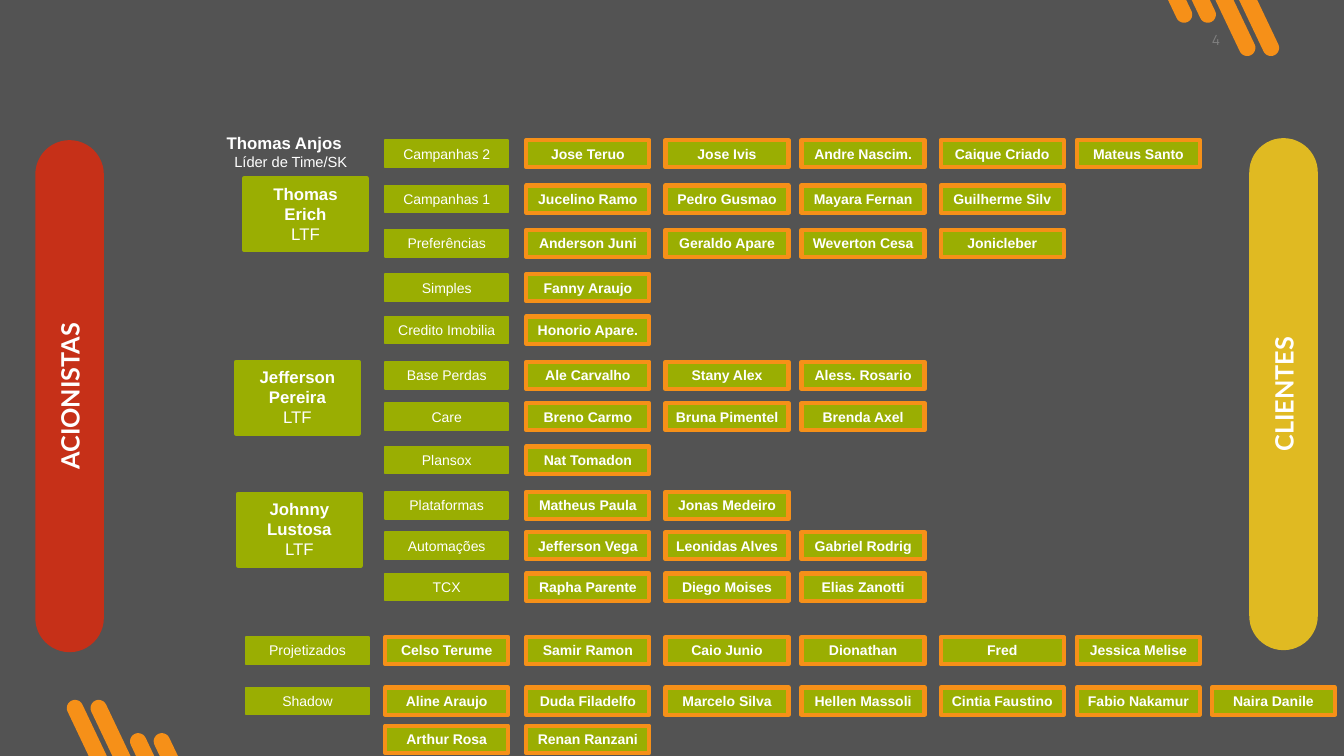
from math import atan2, cos, pi, sin

from lxml.etree import SubElement
from pptx import Presentation
from pptx.dml.color import RGBColor
from pptx.enum.shapes import MSO_SHAPE
from pptx.enum.text import MSO_ANCHOR, MSO_AUTO_SIZE, PP_ALIGN
from pptx.oxml.ns import qn
from pptx.util import Inches, Pt

# Content
COLORS = {"background": "535353", "green": "9AAE02", "orange": "F69018", "red": "C63018",
          "yellow": "E0BA22", "white": "FFFFFF", "grey": "808080"}

# Top edge, first grid column, team, members
TEAMS = [
    (1.39, 1, "Campanhas 2", ["Jose Teruo", "Jose Ivis", "Andre Nascim.", "Caique Criado", "Mateus Santo"]),
    (1.84, 1, "Campanhas 1", ["Jucelino Ramo", "Pedro Gusmao", "Mayara Fernan", "Guilherme Silv"]),
    (2.28, 1, "Preferências", ["Anderson Juni", "Geraldo Apare", "Weverton Cesa", "Jonicleber"]),
    (2.72, 1, "Simples", ["Fanny Araujo"]),
    (3.14, 1, "Credito Imobilia", ["Honorio Apare."]),
    (3.59, 1, "Base Perdas", ["Ale Carvalho", "Stany Alex", "Aless. Rosario"]),
    (4.0, 1, "Care", ["Breno Carmo", "Bruna Pimentel", "Brenda Axel"]),
    (4.43, 1, "Plansox", ["Nat Tomadon"]),
    (4.88, 1, "Plataformas", ["Matheus Paula", "Jonas Medeiro"]),
    (5.28, 1, "Automações", ["Jefferson Vega", "Leonidas Alves", "Gabriel Rodrig"]),
    (5.69, 1, "TCX", ["Rapha Parente", "Diego Moises", "Elias Zanotti"]),
    (6.32, 0, "Projetizados", ["Celso Terume", "Samir Ramon", "Caio Junio", "Dionathan", "Fred",
                               "Jessica Melise"]),
    (6.82, 0, "Shadow", ["Aline Araujo", "Duda Filadelfo", "Marcelo Silva", "Hellen Massoli",
                         "Cintia Faustino", "Fabio Nakamur", "Naira Danile"]),
    (7.2, 0, None, ["Arthur Rosa", "Renan Ranzani"]),
]
LEADERS = [(2.42, 1.77, "Thomas Erich"), (2.34, 3.59, "Jefferson Pereira"), (2.36, 4.9, "Johnny Lustosa")]
BANDS = [(0.35, 1.39, "ACIONISTAS", "red"), (12.39, 1.37, "CLIENTES", "yellow")]

# Grid, in inches
WIDTH, HEIGHT = 13.33, 7.5
COLUMNS = [2.44, 3.82, 5.22, 6.6, 7.95, 9.33, 10.68, 12.02]
BOX_WIDTH, BOX_HEIGHT, LEADER_HEIGHT = 1.22, 0.27, 0.71

# Corner stripes: slide edge, direction into the slide, x of the outermost long stripe
STRIPES = [(HEIGHT, -1, 0.97), (0, 1, 12.38)]
STRIPE_DEPTHS = [0.475, 0.475, 0.145, 0.145]
STRIPE_PITCH, STRIPE_HALF, STRIPE_SLOPE = 0.235, 0.09, 0.475


def color(name):
    return RGBColor.from_string(COLORS[name])


def add_line(frame, text, size, first=False, font="Arial", ink="white", bold=False, align=PP_ALIGN.CENTER):
    para = frame.paragraphs[0] if first else frame.add_paragraph()
    para.alignment = align
    span = para.add_run()
    span.text = text
    span.font.name, span.font.size, span.font.bold = font, Pt(size), bold
    span.font.color.rgb = color(ink)


def add_box(left, top, width, height, fill, line=None, line_width=1, kind=MSO_SHAPE.RECTANGLE):
    box = slide.shapes.add_shape(kind, Inches(left), Inches(top), Inches(width), Inches(height))
    box.shadow.inherit = False
    box.fill.solid()
    box.fill.fore_color.rgb = color(fill)
    if line:
        box.line.color.rgb = color(line)
        box.line.width = Pt(line_width)
        SubElement(box._element.spPr.find(qn("a:ln")), qn("a:round"))
    else:
        box.line.fill.background()
    box.text_frame.word_wrap = True
    box.text_frame.vertical_anchor = MSO_ANCHOR.TOP
    return box


def add_text_box(left, top, width, height, wrap=True):
    box = slide.shapes.add_textbox(Inches(left), Inches(top), Inches(width), Inches(height))
    box.text_frame.word_wrap = wrap
    return box.text_frame


def set_margins(frame, inches):
    frame.margin_left = frame.margin_right = frame.margin_top = frame.margin_bottom = Inches(inches)


def stripe_points(edge, direction, x, depth):
    """Outline of a slanted bar that leaves the slide edge and ends in a half circle."""
    tilt = atan2(STRIPE_SLOPE, 1)
    radius = STRIPE_HALF * cos(tilt)
    center_x, center_y = x + direction * depth * STRIPE_SLOPE, edge + direction * depth
    points = [(x - direction * STRIPE_HALF, edge), (x + direction * STRIPE_HALF, edge)]
    for step in range(13):
        angle = pi * step / 12 - tilt
        points.append((center_x + direction * radius * cos(angle), center_y + direction * radius * sin(angle)))
    return [(Inches(px), Inches(py)) for px, py in points]


# Slide
deck = Presentation()
deck.slide_width, deck.slide_height = Inches(WIDTH), Inches(HEIGHT)
slide = deck.slides.add_slide(deck.slide_layouts[6])
slide.background.fill.solid()
slide.background.fill.fore_color.rgb = color("background")

# Corner stripes
for edge, direction, first_x in STRIPES:
    outlines = [stripe_points(edge, direction, first_x - direction * index * STRIPE_PITCH, depth)
                for index, depth in enumerate(STRIPE_DEPTHS)]
    builder = slide.shapes.build_freeform(*outlines[0][0])
    for index, outline in enumerate(outlines):
        if index:
            builder.move_to(*outline[0])
        builder.add_line_segments(outline[1:], close=True)
    stripes = builder.convert_to_shape()
    stripes.shadow.inherit = False
    stripes.fill.solid()
    stripes.fill.fore_color.rgb = color("orange")
    stripes.line.fill.background()

# Page number
number = add_text_box(11.96, 0.26, 0.19, 0.27, wrap=False)
set_margins(number, 0.05)
add_line(number, "4", 10, first=True, font="Manrope", ink="grey", align=PP_ALIGN.RIGHT)

# Side bands
for left, top, name, fill in BANDS:
    band = add_box(left, top, 0.68, 5.08, fill, kind=MSO_SHAPE.ROUNDED_RECTANGLE)
    band.adjustments[0] = 0.5
    frame = band.text_frame
    set_margins(frame, 0.05)
    frame.vertical_anchor = MSO_ANCHOR.MIDDLE
    frame._txBody.bodyPr.set("vert", "vert270")
    add_line(frame, name, 18, first=True, font="Lato", bold=True)

# Team lead and leaders
lead = add_text_box(2.15, 1.27, 1.47, 0.49)
add_line(lead, "Thomas Anjos", 12, first=True, bold=True, align=PP_ALIGN.LEFT)
add_line(lead, "Líder de Time/SK", 10.5)
for left, top, name in LEADERS:
    frame = add_box(left, top, BOX_WIDTH, LEADER_HEIGHT, "green", "green", 3).text_frame
    frame.auto_size = MSO_AUTO_SIZE.SHAPE_TO_FIT_TEXT
    add_line(frame, name, 12, first=True, bold=True)
    add_line(frame, "LTF", 12)

# Teams and members
for top, start, team, members in TEAMS:
    for offset, name in enumerate([team] + members):
        if name is None:
            continue
        member = offset > 0
        box = add_box(COLUMNS[start + offset], top, BOX_WIDTH, BOX_HEIGHT, "green",
                      "orange" if member else "green", 3 if member else 1)
        box.text_frame.auto_size = MSO_AUTO_SIZE.SHAPE_TO_FIT_TEXT
        add_line(box.text_frame, name, 10, first=True, bold=member)

deck.save("out.pptx")
